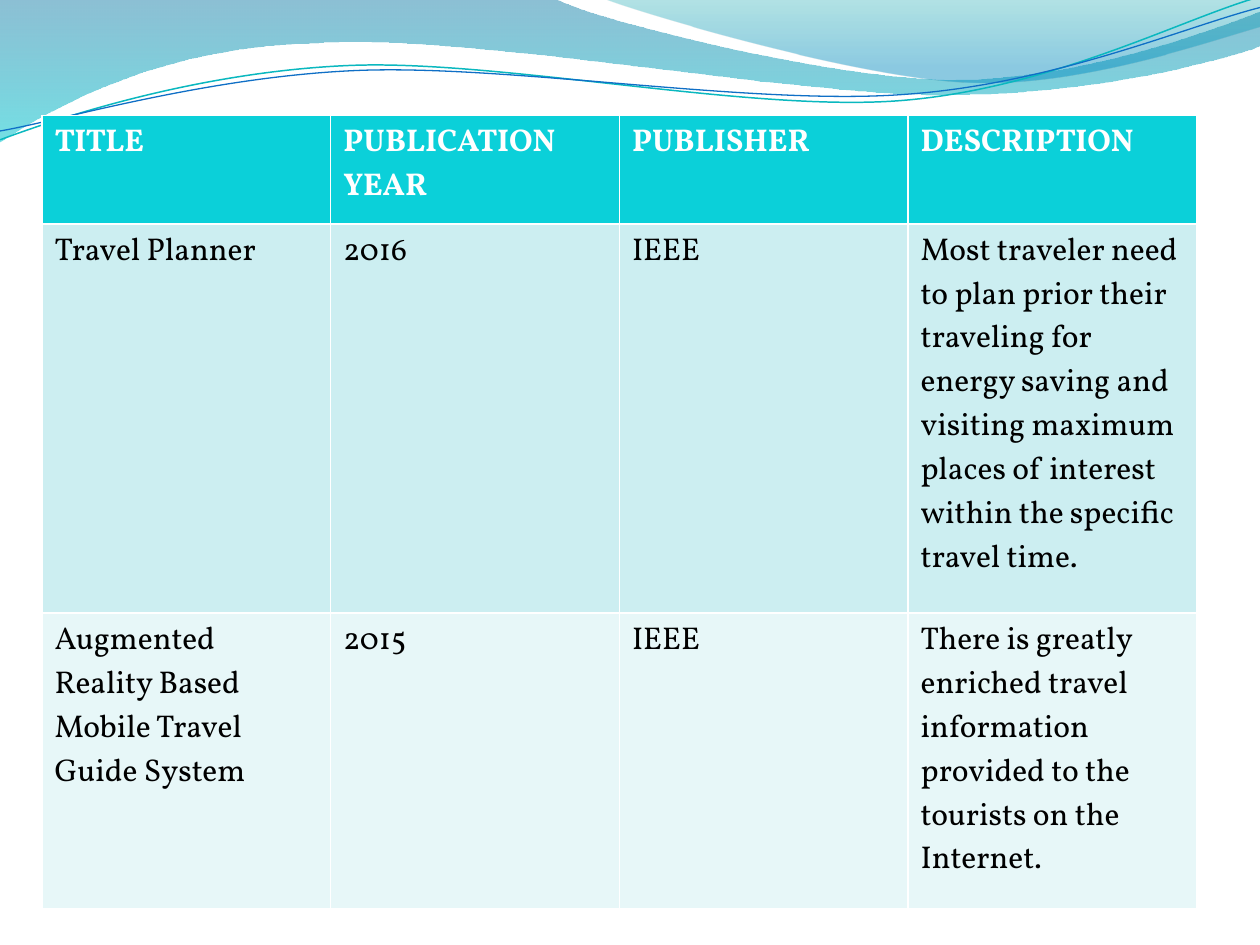
from math import cos, radians, sin

from lxml.etree import SubElement
from pptx import Presentation
from pptx.dml.color import RGBColor
from pptx.oxml.ns import qn
from pptx.util import Inches, Pt

FONT = "Vollkorn"
LINE_ANGLE = 357.3

# Waves: start point, then points (x, y) for lines or triples of them for curves
BACK_WAVE = [(0, 0), (4.4, -0.01),
             (4.76, 0.17, 6.64, 0.63, 7.58, 0.63),
             (8.53, 0.63, 9.58, 0.26, 10, 0.09), (10.01, 0.36),
             (9.83, 0.44, 8.7, 0.76, 7.46, 0.75),
             (6.22, 0.75, 3.82, 0.28, 2.57, 0.34),
             (1.29, 0.36, 0.46, 0.83, -0.01, 1.13)]
FRONT_WAVE = [(4.79, -0.01), (5.09, 0.11, 6.82, 0.62, 7.69, 0.65),
              (8.56, 0.69, 9.61, 0.32, 10, 0.21), (10, 0)]
TEAL_LINE = [(0, 1.11), (0.48, 0.93, 1.58, 0.57, 2.77, 0.52),
             (3.95, 0.47, 5.93, 0.89, 7.13, 0.8),
             (8.33, 0.71, 9.38, 0.15, 9.98, -0.02)]
BLUE_LINE = [(0, 1.04), (0.47, 0.96, 1.64, 0.61, 2.83, 0.56),
             (4.03, 0.51, 5.97, 0.84, 7.17, 0.75),
             (8.36, 0.67, 9.41, 0.21, 10, 0.06)]

HEADER = ["TITLE", "PUBLICATION YEAR", "PUBLISHER", "DESCRIPTION"]
PAPERS = [
    ["Travel Planner", "2016", "IEEE",
     "Most traveler need to plan prior their traveling for energy saving and "
     "visiting maximum places of interest within the specific travel time."],
    ["Augmented Reality Based Mobile Travel Guide System", "2015", "IEEE",
     "There is greatly enriched travel information provided to the tourists "
     "on the Internet."],
]
ROW_HEIGHTS = [0.86, 3.09, 2.35]
ROW_FILLS = ["0BD0D9", "CCEEF1", "E7F7F8"]


def color(hex_text):
    return RGBColor.from_string(hex_text)


def turn_back(x, y, center, angle):
    """Undo a rotation, so that the shape's own rotation restores the point."""
    turn = radians(-angle)
    dx, dy = x - center[0], y - center[1]
    return (center[0] + dx * cos(turn) - dy * sin(turn),
            center[1] + dx * sin(turn) + dy * cos(turn))


def add_outline(page, left, top, segments, close, center=(0, 0), angle=0):
    """Draw straight and cubic segments; each segment becomes a list of points."""
    curves = []
    for segment in segments:
        pairs = zip(segment[::2], segment[1::2])
        turned = [turn_back(x, y, center, angle) for x, y in pairs]
        curves.append([(Inches(left + x), Inches(top + y)) for x, y in turned])
    ends = [points[-1] for points in curves]
    builder = page.shapes.build_freeform(*ends[0], scale=1.0)
    builder.add_line_segments(ends[1:], close=close)
    shape = builder.convert_to_shape()
    # Bend the segments that have control points
    lines = list(shape._element.spPr.iter(qn("a:lnTo")))
    for line, points in zip(lines, curves[1:]):
        if len(points) == 3:
            line.tag = qn("a:cubicBezTo")
            line.clear()
            for x, y in points:
                SubElement(line, qn("a:pt"), x=str(x - shape.left), y=str(y - shape.top))
    shape.rotation = angle
    shape.shadow.inherit = False
    return shape


def add_wave(page, left, top, segments, stops):
    shape = add_outline(page, left, top, segments, close=True)
    shape.line.fill.background()
    shape.fill.gradient()
    shape.fill.gradient_angle = 270  # top to bottom
    for stop, (position, hex_text, opacity) in zip(shape.fill.gradient_stops, stops):
        stop.position = position
        stop.color.rgb = color(hex_text)
    # Opacity of each stop
    for element, (_, _, opacity) in zip(shape._element.spPr.iter(qn("a:srgbClr")), stops):
        SubElement(element, qn("a:alpha"), val=str(opacity * 1000))


def add_wave_line(page, left, top, segments, center, hex_text, width):
    shape = add_outline(page, left, top, segments, close=False,
                        center=center, angle=LINE_ANGLE)
    shape.fill.background()
    shape.line.color.rgb = color(hex_text)
    shape.line.width = Pt(width)


def add_header_waves(page, left, top):
    add_wave(page, left, top, BACK_WAVE, [(0, "0074A1", 45), (1, "00C6CF", 55)])
    add_wave(page, left, top, FRONT_WAVE, [(0, "00A1A9", 30), (0.8, "008BBF", 45)])
    add_wave_line(page, left, top, TEAL_LINE, (4.99, 0.58), "0AB8BF", 0.85)
    add_wave_line(page, left, top, BLUE_LINE, (5, 0.59), "0F6FC6", 0.75)


def write_text(frame, text, size=18, hex_text="000000", bold=False):
    para = frame.paragraphs[0]
    span = para.add_run()
    span.text = text
    span.font.name = FONT
    span.font.size = Pt(size)
    span.font.bold = bold
    span.font.color.rgb = color(hex_text)


def add_paper_table(page, left, top, width):
    # The default table style supplies the white borders
    rows = [HEADER] + PAPERS
    frame = page.shapes.add_table(len(rows), len(HEADER), Inches(left), Inches(top),
                                  Inches(width), Inches(sum(ROW_HEIGHTS)))
    table = frame.table
    for column in table.columns:
        column.width = Inches(width / len(HEADER))
    for r, texts in enumerate(rows):
        table.rows[r].height = Inches(ROW_HEIGHTS[r])
        is_header = r == 0
        for c, text in enumerate(texts):
            cell = table.cell(r, c)
            cell.fill.solid()
            cell.fill.fore_color.rgb = color(ROW_FILLS[r])
            write_text(cell.text_frame, text, bold=is_header,
                       hex_text="FFFFFF" if is_header else "000000")


def main():
    deck = Presentation()
    deck.slide_width, deck.slide_height = Inches(10), Inches(7.5)
    page = deck.slides.add_slide(deck.slide_layouts[6])
    add_header_waves(page, 0, 0)
    add_paper_table(page, 1 / 3, 11 / 12, 55 / 6)
    deck.save("out.pptx")


if __name__ == "__main__":
    main()
